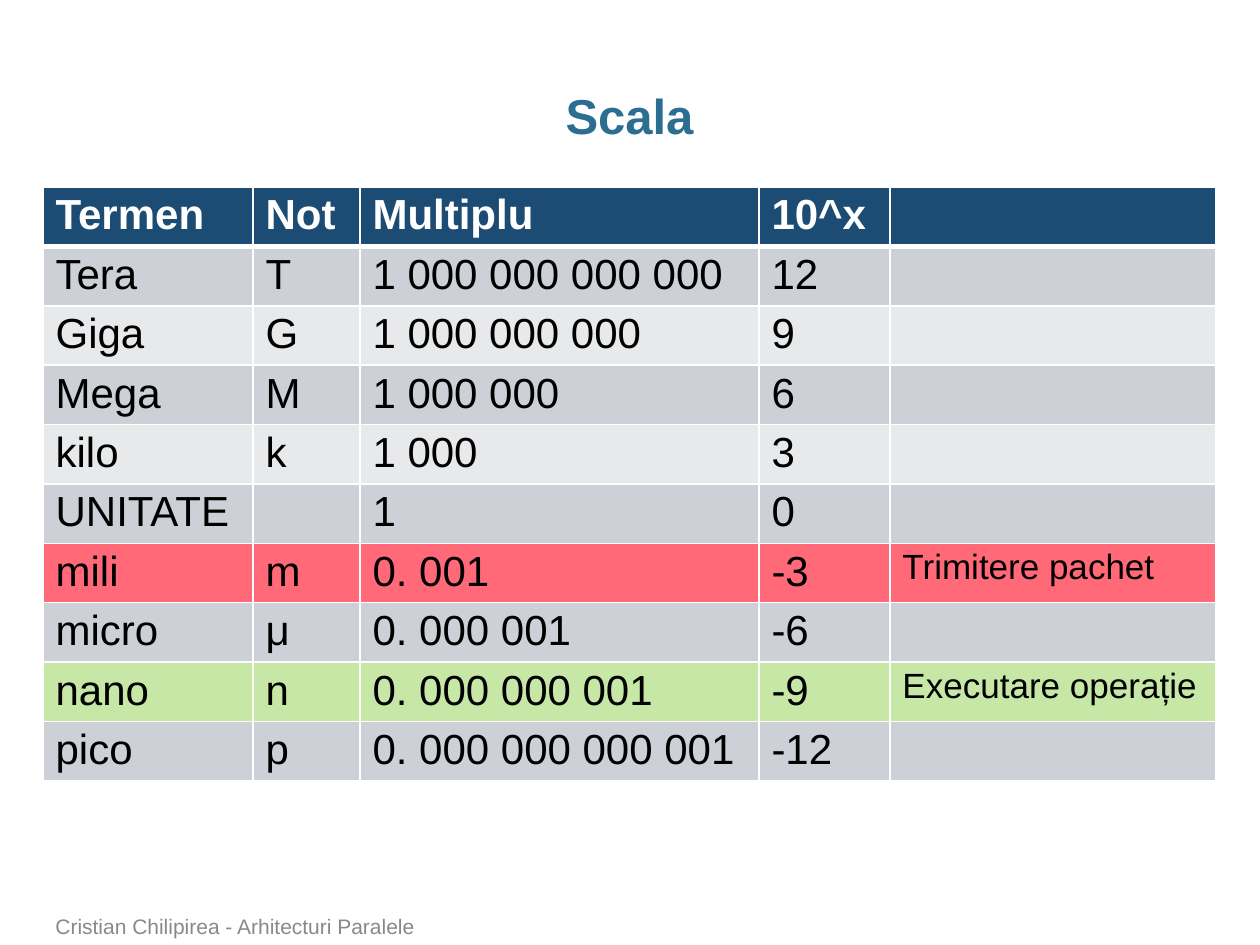
"""Build a slide with a table of metric prefixes."""
import dataclasses

import pptx
import pptx.dml.color
import pptx.enum.text
import pptx.oxml
import pptx.oxml.ns
import pptx.util

ANCHOR = pptx.enum.text.MSO_ANCHOR
ALIGN = pptx.enum.text.PP_ALIGN
EMU_PER_PX = 914400 / 126

HEADER = ("Termen", "Not", "Multiplu", "10^x", "")
PREFIXES = (
    ("Tera", "T", "1 000 000 000 000", "12", ""),
    ("Giga", "G", "1 000 000 000", "9", ""),
    ("Mega", "M", "1 000 000", "6", ""),
    ("kilo", "k", "1 000", "3", ""),
    ("UNITATE", "", "1", "0", ""),
    ("mili", "m", "0. 001", "-3", "Trimitere pachet"),
    ("micro", "μ", "0. 000 001", "-6", ""),
    ("nano", "n", "0. 000 000 001", "-9", "Executare operație"),
    ("pico", "p", "0. 000 000 000 001", "-12", ""),
)
COLUMN_WIDTHS = (210, 107, 399, 131, 326)


@dataclasses.dataclass(frozen=True)
class Theme:
    font: str = "Arial"
    title: str = "2C6D92"
    header: str = "1C4C74"
    white: str = "FFFFFF"
    text: str = "000000"
    footer: str = "898989"
    bands: tuple = ("CDD0D6", "E8E9EB")
    highlights: tuple = (("mili", "FF6978"), ("nano", "C7E7A6"))
    title_size: int = 28
    table_size: int = 24
    note_size: int = 20
    footer_size: int = 12


def px(length):
    return pptx.util.Emu(round(length * EMU_PER_PX))


def rgb(color):
    return pptx.dml.color.RGBColor.from_string(color)


class SlideBuilder:
    def __init__(self, theme, page):
        self.theme = theme
        self.page = page

    def style(self, para, size, color, bold=False):
        font = para.font
        font.name = self.theme.font
        font.size = pptx.util.Pt(size)
        font.bold = bold
        font.color.rgb = rgb(color)

    def title(self, text, left, top, width, height):
        box = self.page.shapes.title
        box.left, box.top, box.width, box.height = map(px, (left, top, width, height))
        frame = box.text_frame
        frame.text = text
        frame.margin_left = frame.margin_right = 0
        frame.vertical_anchor = ANCHOR.MIDDLE
        para = frame.paragraphs[0]
        para.alignment = ALIGN.CENTER
        para.line_spacing = 0.95
        self.style(para, self.theme.title_size, self.theme.title, True)

    def footer(self, text, left, top, width, height):
        box = self.page.shapes.add_textbox(*map(px, (left, top, width, height)))
        frame = box.text_frame
        frame.word_wrap = True
        frame.vertical_anchor = ANCHOR.BOTTOM
        frame.text = text
        self.style(frame.paragraphs[0], self.theme.footer_size, self.theme.footer)

    def borders(self, cell, bottom):
        properties = cell._tc.get_or_add_tcPr()
        namespace = pptx.oxml.ns.nsdecls("a")
        sides = (("lnL", 1), ("lnR", 1), ("lnT", 1), ("lnB", bottom))
        for index, (side, points) in enumerate(sides):
            line = pptx.oxml.parse_xml(
                f'<a:{side} {namespace} w="{pptx.util.Pt(points)}"><a:solidFill>'
                f'<a:srgbClr val="{self.theme.white}"/></a:solidFill></a:{side}>'
            )
            properties.insert(index, line)

    def cell(self, cell, text, fill, size, header):
        cell.text = text
        cell.margin_top = cell.margin_bottom = px(5)
        cell.fill.solid()
        cell.fill.fore_color.rgb = rgb(fill)
        color = self.theme.white if header else self.theme.text
        self.style(cell.text_frame.paragraphs[0], size, color, header)
        self.borders(cell, 3 if header else 1)

    def table(self, header, records, widths, left, top, height):
        theme = self.theme
        rows = (header, *records)
        area = map(px, (left, top, sum(widths), height))
        table = self.page.shapes.add_table(len(rows), len(widths), *area).table
        for column, width in zip(table.columns, widths):
            column.width = px(width)
        highlights = dict(theme.highlights)
        for r, row in enumerate(rows):
            band = theme.bands[(r - 1) % 2]
            fill = highlights.get(row[0], band) if r else theme.header
            for c, text in enumerate(row):
                is_note = c == len(widths) - 1
                size = theme.note_size if is_note else theme.table_size
                self.cell(table.cell(r, c), text, fill, size, r == 0)


def main():
    deck = pptx.Presentation()
    deck.slide_width, deck.slide_height = px(1260), px(945)
    page = deck.slides.add_slide(deck.slide_layouts.get_by_name("Title Only"))
    builder = SlideBuilder(Theme(), page)
    builder.title("Scala", 43, 86, 1173, 63)
    builder.table(HEADER, PREFIXES, COLUMN_WIDTHS, 43, 187, 594)
    builder.footer("Cristian Chilipirea - Arhitecturi Paralele", 43, 910, 929, 35)
    deck.save("out.pptx")


if __name__ == "__main__":
    main()
